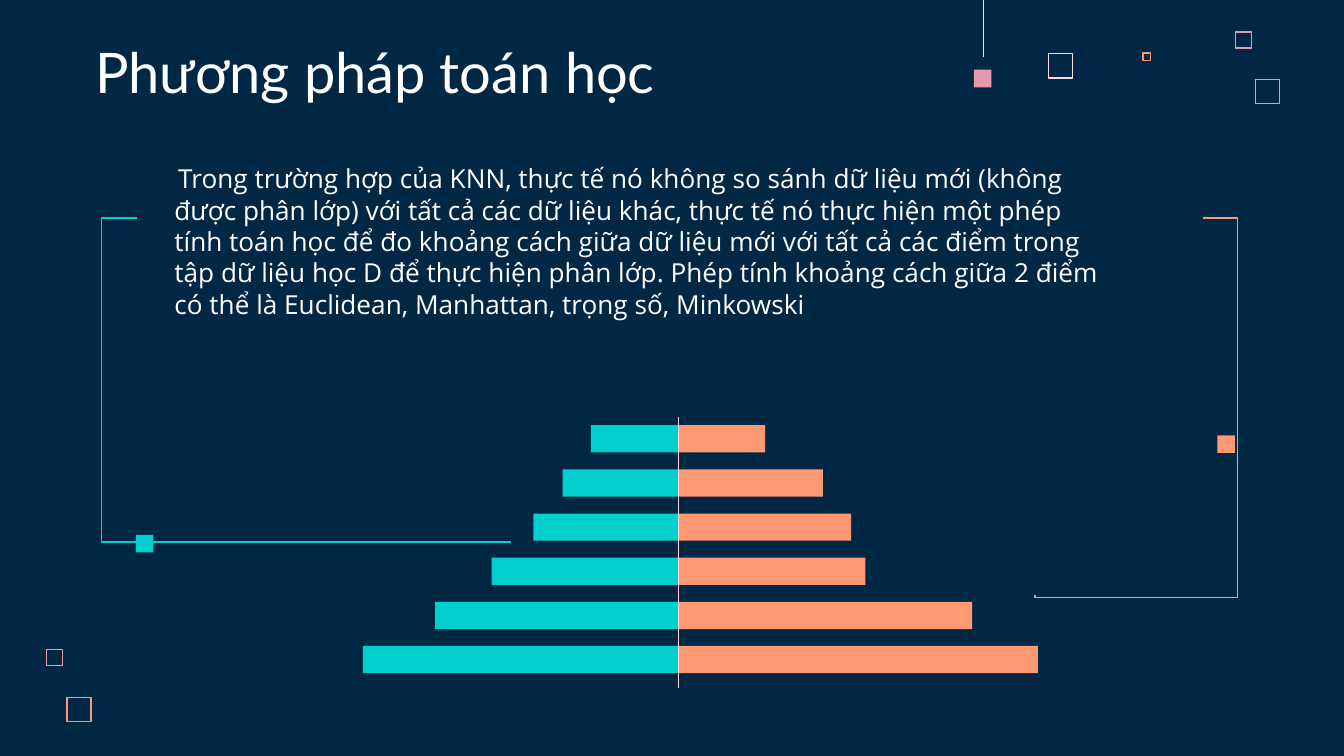
from lxml import etree
from pptx import Presentation
from pptx.dml.color import RGBColor
from pptx.enum.shapes import MSO_CONNECTOR as CONN, MSO_SHAPE as SHAPE
from pptx.enum.text import MSO_ANCHOR as ANCHOR
from pptx.oxml.ns import qn
from pptx.util import Pt

NAVY = RGBColor(0x00, 0x28, 0x45)
WHITE = RGBColor(0xFF, 0xFF, 0xFF)
TEAL = RGBColor(0x00, 0xCF, 0xCC)
ORANGE = RGBColor(0xFF, 0x99, 0x73)
PINK = RGBColor(0xE8, 0x98, 0xAC)
BLUSH = RGBColor(0xFF, 0xD6, 0xE1)

TITLE = "Phương pháp toán học"
BODY = (
    "Trong trường hợp của KNN, thực tế nó không so sánh dữ liệu mới "
    "(không được phân lớp) với tất cả các dữ liệu khác, thực tế nó thực hiện "
    "một phép tính toán học để đo khoảng cách giữa dữ liệu mới với tất cả các "
    "điểm trong tập dữ liệu học D để thực hiện phân lớp. Phép tính khoảng cách "
    "giữa 2 điểm có thể là Euclidean, Manhattan, trọng số, Minkowski"
)

FRAMES = [
    (561.6, 28.8, 13, BLUSH),
    (661.8, 17.2, 8.6, PINK),
    (612.3, 28.5, 4, ORANGE),
    (672.5, 42.5, 13, ORANGE),
    (25, 348, 8.6, PINK),
    (35.8, 373.6, 13, ORANGE),
]
DOTS = [(521.8, 37.4, PINK), (72.8, 286.6, TEAL), (652.2, 233.2, ORANGE)]
DOT_SIZE = 9.4

AXIS_X = 363.4
BAR_TOP, BAR_PITCH, BAR_HEIGHT = 227.8, 23.65, 14.6
LEFT_BARS = [46.8, 61.9, 77.6, 100, 130.3, 169]
RIGHT_BARS = [46.5, 77.5, 92.6, 100.2, 157.4, 192.6]


def add_rect(s, x, y, w, h, fill=None, line=None):
    sp = s.shapes.add_shape(SHAPE.RECTANGLE, Pt(x), Pt(y), Pt(w), Pt(h))
    sp.shadow.inherit = False
    if fill is None:
        sp.fill.background()
    else:
        sp.fill.solid()
        sp.fill.fore_color.rgb = fill
    if line is None:
        sp.line.fill.background()
    else:
        sp.line.color.rgb = line
        sp.line.width = Pt(0.75)


def add_line(s, x1, y1, x2, y2, color, kind=CONN.STRAIGHT, adjust=()):
    c = s.shapes.add_connector(kind, Pt(x1), Pt(y1), Pt(x2), Pt(y2))
    c.line.color.rgb = color
    c.line.width = Pt(0.75)
    spPr = c._element.spPr
    etree.SubElement(spPr, qn("a:effectLst"))
    if adjust:
        geom = spPr.find(qn("a:prstGeom"))
        geom.set("prst", f"bentConnector{len(adjust) + 2}")
        guides = geom.find(qn("a:avLst"))
        if guides is None:
            guides = etree.SubElement(geom, qn("a:avLst"))
        for i, value in enumerate(adjust, 1):
            etree.SubElement(guides, qn("a:gd"), name=f"adj{i}", fmla=f"val {value}")


def add_text(s, x, y, w, h, text, font, size, anchor=ANCHOR.TOP):
    tf = s.shapes.add_textbox(Pt(x), Pt(y), Pt(w), Pt(h)).text_frame
    tf.word_wrap = True
    tf.vertical_anchor = anchor
    tf.margin_left = tf.margin_right = tf.margin_top = tf.margin_bottom = Pt(7.2)
    tf.text = text
    p = tf.paragraphs[0]
    r = p.runs[0]
    r.font.name = font
    r.font.size = Pt(size)
    r.font.color.rgb = WHITE
    return p


def add_decoration(s):
    for x, y, size, color in FRAMES:
        add_rect(s, x, y, size, size, line=color)
    add_line(s, 527, 0, 527, 30.6, BLUSH)


def add_pyramid(s):
    for i, (left, right) in enumerate(zip(LEFT_BARS, RIGHT_BARS)):
        y = BAR_TOP + i * BAR_PITCH
        add_rect(s, AXIS_X - left, y, left, BAR_HEIGHT, fill=TEAL)
        add_rect(s, AXIS_X, y, right, BAR_HEIGHT, fill=ORANGE)
    add_line(s, AXIS_X, 223.4, AXIS_X, 368.6, BLUSH)


def add_brackets(s):
    add_line(s, 73.4, 116.8, 273.7, 290.3, TEAL, CONN.ELBOW, [-9400])
    add_line(s, 644.4, 116.8, 554.4, 318.7, ORANGE, CONN.ELBOW, [-20800, 100700])
    for x, y, color in DOTS:
        add_rect(s, x, y, DOT_SIZE, DOT_SIZE, fill=color)


def main():
    prs = Presentation()
    prs.slide_width, prs.slide_height = Pt(720), Pt(405)
    s = prs.slides.add_slide(prs.slide_layouts[6])
    s.background.fill.solid()
    s.background.fill.fore_color.rgb = NAVY
    add_decoration(s)
    add_text(s, 44, 18, 484.6, 45.4, TITLE, "Lato", 30, ANCHOR.BOTTOM)
    add_pyramid(s)
    add_brackets(s)
    p = add_text(s, 50.4, 79.9, 549.4, 87.8, BODY, "Open Sans", 14)
    pPr = p._p.get_or_add_pPr()
    pPr.set("marL", str(Pt(36)))
    pPr.set("indent", str(Pt(2)))
    prs.save("out.pptx")


main()
